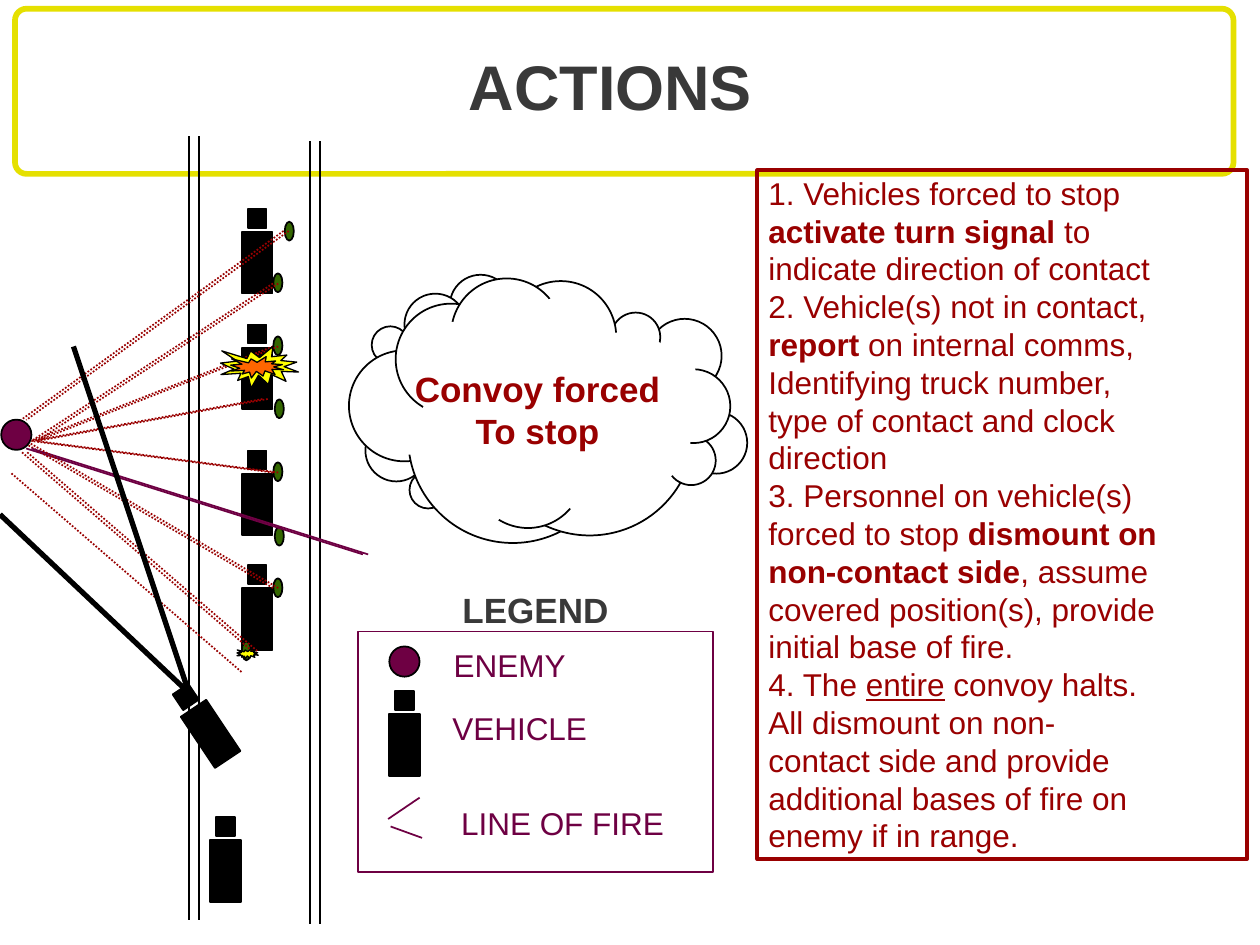
from math import cos, radians, sin

from lxml import etree
from pptx import Presentation
from pptx.dml.color import RGBColor
from pptx.enum.dml import MSO_LINE
from pptx.enum.shapes import MSO_CONNECTOR, MSO_SHAPE
from pptx.enum.text import PP_ALIGN
from pptx.oxml.ns import qn
from pptx.util import Pt

RECT, ROUND = MSO_SHAPE.RECTANGLE, MSO_SHAPE.ROUNDED_RECTANGLE
OVAL, BURST = MSO_SHAPE.OVAL, MSO_SHAPE.EXPLOSION1
STRAIGHT, DOTTED = MSO_CONNECTOR.STRAIGHT, MSO_LINE.ROUND_DOT
LEFT, CENTER = PP_ALIGN.LEFT, PP_ALIGN.CENTER

COLORS = {
    "black": "000000", "white": "FFFFFF", "gray": "393939", "gold": "E5E000",
    "plum": "6E0043", "red": "990000", "green": "336600",
    "yellow": "FFFF00", "orange": "FF6600",
}


def rgb(name):
    return RGBColor.from_string(COLORS[name])


def write(p, text, size=18, color="red", bold=False, underline=False):
    r = p.add_run()
    r.text = text
    f = r.font
    f.name, f.size, f.bold, f.underline = "Arial", Pt(size), bold, underline
    f.color.rgb = rgb(color)


class Board:
    """Holds the current slide and the style of its elements."""

    def __init__(self, slide):
        self.shapes = slide.shapes

    def paint(self, s, fill, line, weight):
        s.shadow.inherit = False
        if fill:
            s.fill.solid()
            s.fill.fore_color.rgb = rgb(fill)
        else:
            s.fill.background()
        if line:
            s.line.color.rgb = rgb(line)
            s.line.width = Pt(weight)
        else:
            s.line.fill.background()
        return s

    def shape(self, kind, x, y, w, h, fill=None, line="black", weight=1):
        s = self.shapes.add_shape(kind, Pt(x), Pt(y), Pt(w), Pt(h))
        return self.paint(s, fill, line, weight)

    def patch(self, points, fill):
        fb = self.shapes.build_freeform(Pt(points[0][0]), Pt(points[0][1]))
        fb.add_line_segments([(Pt(x), Pt(y)) for x, y in points[1:]], close=True)
        return self.paint(fb.convert_to_shape(), fill, None, 0)

    def line(self, x1, y1, x2, y2, color="black", weight=1, dash=None):
        s = self.shapes.add_connector(STRAIGHT, Pt(x1), Pt(y1), Pt(x2), Pt(y2))
        s.line.color.rgb = rgb(color)
        s.line.width = Pt(weight)
        if dash:
            s.line.dash_style = dash
        etree.SubElement(s._element.spPr, qn("a:effectLst"))

    def text(self, x, y, w, h, lines, align=CENTER, wrap=False, size=18, **style):
        sp = self.shapes.add_textbox(Pt(x), Pt(y), Pt(w), Pt(h))
        tf = sp.text_frame
        tf.word_wrap = wrap
        for i, runs in enumerate(lines):
            p = tf.add_paragraph() if i else tf.paragraphs[0]
            p.alignment = align
            p.line_spacing = Pt(1.2 * size)
            for run in [runs] if isinstance(runs, str) else runs:
                text, extra = (run, {}) if isinstance(run, str) else run
                write(p, text, size=size, **{**style, **extra})

    def vehicle(self, x, y, angle=0):
        body = self.shape(RECT, x, y, 17.5, 35.2, "black")
        # The cab sits ahead of the body, along its heading
        cx = x + 8.75 + 25.4 * sin(radians(angle))
        cy = y + 17.6 - 25.4 * cos(radians(angle))
        cab = self.shape(RECT, cx - 5.4, cy - 5.4, 10.8, 10.8, "black")
        body.rotation = cab.rotation = angle


BOLD, UNDERLINE = {"bold": True}, {"underline": True}
STEPS = [
    "1. Vehicles forced to stop",
    [("activate turn signal", BOLD), " to"],
    "indicate direction of contact",
    "2. Vehicle(s) not in contact,",
    [("report ", BOLD), "on internal comms,"],
    "Identifying truck number,",
    "type of contact and clock",
    "direction",
    "3. Personnel on vehicle(s)",
    ["forced to stop ", ("dismount on", BOLD)],
    [("non-contact side", BOLD), ", assume"],
    "covered position(s), provide",
    "initial base of fire.",
    ["4. The ", ("entire", UNDERLINE), " convoy halts."],
    "All dismount on non-",
    "contact side and provide",
    "additional bases of fire on",
    "enemy if in range.",
]

# Cloud puffs: left, top, diameter; the patches hide the inner outlines
PUFFS_BACK = [
    (257, 157, 35.3), (212.4, 186.5, 21.3), (234, 269.3, 21.3), (208.8, 239.8, 35.3),
    (231.1, 167.8, 35.3), (391.7, 235.4, 35.3), (199.4, 200.2, 63.4),
    (233.3, 190.8, 119.5),
]
PUFFS_FRONT = [
    (277.2, 186.5, 119.5), (370.1, 182.2, 42.3), (380.9, 249.1, 28.1),
    (349.2, 178.6, 28.1), (375.1, 211, 42.2), (226.1, 173.5, 63.4),
    (288.7, 160.6, 63.4), (257.8, 159.1, 63.4), (270, 238.3, 63.4),
]
SIDE_PATCH = [(236.2, 226.1), (227.5, 259.9), (239, 259.9), (239.8, 227.5)]
CORE_PATCH = [
    (254.9, 183.6), (288, 187.2), (316.8, 169.2), (349.9, 190.1), (356.4, 190.1),
    (374.4, 193.7), (381.6, 199.4), (397.4, 208.8), (397.4, 213.8), (393.8, 263.5),
    (380.2, 275), (329, 293), (322.6, 288), (286.6, 295.2), (281.5, 301),
    (239.8, 240.5),
]

VEHICLES = [(138.2, 132.5), (138.2, 198.7), (138.2, 270.7), (138.2, 336.2),
            (111.6, 401.8, 326.2), (120.2, 480.2)]
SOLDIERS = [(156.2, 330.5), (138.2, 366.5), (156.2, 264.2), (157, 301),
            (156.2, 192.2), (157, 228.2), (162.7, 126.7), (156.2, 156.2)]
SHOTS = [(162, 132, 12, 240), (156, 162, 18, 252), (156, 198, 18, 252),
         (150, 228, 18, 252), (156, 270, 18, 252), (156, 336, 12, 252),
         (144, 372, 12, 258)]

prs = Presentation()
prs.slide_width, prs.slide_height = Pt(720), Pt(540)
board = Board(prs.slides.add_slide(prs.slide_layouts[6]))

# Title frame
frame = board.shape(ROUND, 8.6, 5, 696.3, 94.4, line="gold", weight=3.25)
frame.adjustments[0] = 0.07

# Legend
board.shape(RECT, 204.5, 360.8, 203, 137.5, line="plum")
board.shape(OVAL, 222.5, 369.4, 17.3, 17.3, "plum")
board.vehicle(222.5, 408.2)
board.line(239.8, 455.8, 221.8, 468, "plum")
board.line(223.2, 472.3, 241.2, 478.8, "plum")
for label, x, y, w in [("ENEMY", 252, 365.8, 78.5), ("VEHICLE", 251.3, 401.8, 91.4),
                       ("LINE OF FIRE", 256.3, 455.8, 130.3)]:
    board.text(x, y, w, 28.8, [label], color="plum")
board.text(257, 332.6, 98, 31, ["LEGEND"], size=20, color="gray", bold=True)

# Cloud
for x, y, d in PUFFS_BACK:
    board.shape(OVAL, x, y, d, d, "white")
board.patch(SIDE_PATCH, "white")
for x, y, d in PUFFS_FRONT:
    board.shape(OVAL, x, y, d, d, "white")
board.patch(CORE_PATCH, "white")
board.text(224, 206.6, 166.3, 55.4, ["Convoy forced", "To stop"], size=20, bold=True)

# Steps
board.shape(RECT, 432.7, 97.2, 280, 393.8, line="red", weight=2)
board.text(432, 95.8, 285, 417.6, STEPS, align=LEFT, wrap=True)

# Convoy
for place in VEHICLES:
    board.vehicle(*place)
for x, y in SOLDIERS:
    board.shape(OVAL, x, y, 5.2, 10.8, "green")

# Road edges and lines of fire, each drawn double
for edge_shift, shot_shift in [(5.76, 0), (0, 3)]:
    for x, top, bottom in [(108, 78, 525.6), (177.1, 80.6, 527.8)]:
        board.line(x + edge_shift, top, x + edge_shift, bottom)
    board.line(15 + shot_shift, 256.3, 207.4 + shot_shift, 316.8, "plum")
    for x1, y1, x2, y2 in SHOTS:
        board.line(x1 + shot_shift, y1, x2 + shot_shift, y2, "red", dash=DOTTED)

# Enemy and explosions
board.shape(OVAL, 0.7, 239.8, 17.3, 17.3, "plum")
for x, y, w, h, fill in [(135.4, 370.8, 12.2, 5.8, "yellow"),
                         (126, 198, 44.6, 23.8, "yellow"),
                         (131.8, 203.8, 30.2, 12.2, "orange")]:
    board.shape(BURST, x, y, w, h, fill, weight=0.75)

# Last dotted shot and the sector of fire
board.line(138, 384, 6, 270, "red", dash=DOTTED)
for x, y in [(0, 294), (42, 198)]:
    board.line(108, 396, x, y, weight=3)

# Title
board.text(260.6, 23.8, 176.4, 50.4, ["ACTIONS"], size=36, color="gray", bold=True)

prs.save("out.pptx")
